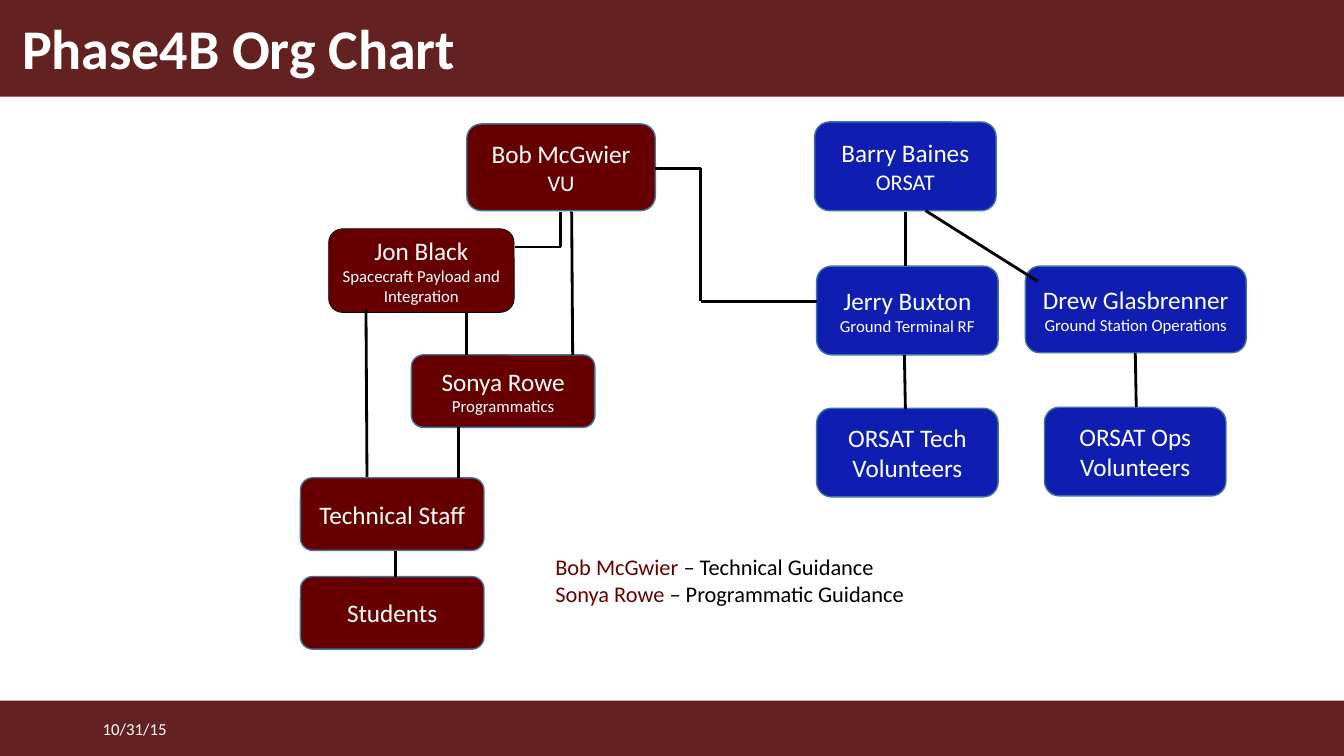
from dataclasses import dataclass
from itertools import pairwise

from lxml.etree import SubElement
from pptx import Presentation
from pptx.dml.color import RGBColor
from pptx.enum.shapes import MSO_CONNECTOR as Connector, MSO_SHAPE as Shape
from pptx.enum.text import MSO_ANCHOR as Anchor, PP_ALIGN as Align
from pptx.oxml.ns import qn
from pptx.util import Inches, Pt


@dataclass(frozen=True)
class Theme:
    font: str = "Calibri"
    band: str = "632121"
    maroon: str = "660000"
    blue: str = "0F1EB1"
    outline: str = "43739E"
    black: str = "000000"
    white: str = "FFFFFF"
    title_size: int = 40
    name_size: int = 18
    body_size: int = 16
    small_size: int = 12


def add_run(paragraph, text, *, font, size, color, bold=False):
    run = paragraph.add_run()
    run.text = text
    run.font.name = font
    run.font.size = Pt(size)
    run.font.bold = bold
    run.font.color.rgb = RGBColor.from_string(color)


class OrgChartSlide:
    def __init__(self, presentation, theme):
        self.theme = theme
        self.slide = presentation.slides.add_slide(presentation.slide_layouts[6])

    def fill_text(self, shape, lines, *, anchor=Anchor.MIDDLE, align=Align.LEFT, spacing=None):
        frame = shape.text_frame
        frame.word_wrap = True
        frame.vertical_anchor = anchor
        for index, runs in enumerate(lines):
            paragraph = frame.add_paragraph() if index else frame.paragraphs[0]
            paragraph.alignment = align
            paragraph.line_spacing = spacing
            for text, size, color, bold in runs:
                add_run(paragraph, text, font=self.theme.font, size=size, color=color, bold=bold)

    def block(self, kind, bounds, fill):
        shape = self.slide.shapes.add_shape(kind, *map(Inches, bounds))
        shape.shadow.inherit = False
        shape.fill.solid()
        shape.fill.fore_color.rgb = RGBColor.from_string(fill)
        return shape

    def band(self, top, height):
        self.block(Shape.RECTANGLE, (0, top, 13.33, height), self.theme.band).line.fill.background()

    def text(self, bounds, lines, **layout):
        self.fill_text(self.slide.shapes.add_textbox(*map(Inches, bounds)), lines, **layout)

    def box(self, bounds, fill, name, role="", role_size=None, outline=None, outline_width=1):
        theme = self.theme
        shape = self.block(Shape.ROUNDED_RECTANGLE, bounds, fill)
        shape.line.color.rgb = RGBColor.from_string(outline or theme.outline)
        shape.line.width = Pt(outline_width)
        lines = [[(name, theme.name_size, theme.white, False)]]
        if role:
            lines.append([(role, role_size or theme.small_size, theme.white, False)])
        self.fill_text(shape, lines, align=Align.CENTER)

    def route(self, *points):
        for start, end in pairwise(points):
            connector = self.slide.shapes.add_connector(
                Connector.STRAIGHT, *map(Inches, (*start, *end)))
            connector.line.color.rgb = RGBColor.from_string(self.theme.black)
            connector.line.width = Pt(2)
            SubElement(connector._element.spPr, qn("a:effectLst"))


def main():
    presentation = Presentation()
    presentation.slide_width = Inches(13.33)
    presentation.slide_height = Inches(7.5)
    theme = Theme()
    chart = OrgChartSlide(presentation, theme)

    chart.band(6.95, 0.55)
    chart.band(0, 0.96)
    chart.text((0.12, 0.13, 10.88, 0.75),
               [[("Phase4B Org Chart", theme.title_size, theme.white, True)]], spacing=0.9)
    chart.text((0.92, 7.03, 3, 0.4), [[("10/31/15", theme.small_size, theme.white, False)]])

    maroon, blue = theme.maroon, theme.blue
    chart.box((4.63, 1.23, 1.87, 0.86), maroon, "Bob McGwier", "VU", theme.body_size)
    chart.box((3.26, 2.27, 1.84, 0.83), maroon, "Jon Black",
              "Spacecraft Payload and Integration", outline=theme.black, outline_width=0.5)
    chart.box((4.08, 3.52, 1.82, 0.72), maroon, "Sonya Rowe", "Programmatics")
    for top, name in ((4.74, "Technical Staff"), (5.72, "Students")):
        chart.box((2.98, top, 1.82, 0.72), maroon, name)

    chart.box((8.08, 1.21, 1.8, 0.88), blue, "Barry Baines", "ORSAT", theme.body_size)
    chart.box((8.1, 2.64, 1.8, 0.88), blue, "Jerry Buxton", "Ground Terminal RF")
    chart.box((10.17, 2.64, 2.19, 0.86), blue, "Drew Glasbrenner", "Ground Station Operations")
    chart.box((8.1, 4.05, 1.8, 0.88), blue, "ORSAT Tech Volunteers")
    chart.box((10.36, 4.04, 1.8, 0.88), blue, "ORSAT Ops Volunteers")

    for points in (
        ((5.56, 2.1), (5.56, 2.45), (5.11, 2.45)),
        ((5.67, 2.1), (5.68, 3.52)),
        ((3.63, 3.07), (3.64, 4.73)),
        ((4.63, 3.1), (4.63, 3.52)),
        ((4.55, 4.24), (4.55, 4.74)),
        ((3.92, 5.47), (3.92, 5.72)),
        ((6.5, 1.67), (6.95, 1.67), (6.95, 2.99), (8.1, 2.99)),
        ((8.98, 2.1), (8.98, 2.64)),
        ((8.97, 3.52), (8.98, 4.06)),
        ((9.18, 2.09), (10.29, 2.79)),
        ((11.26, 3.5), (11.27, 4.04)),
    ):
        chart.route(*points)

    guidance = (("Bob McGwier ", "– Technical Guidance"),
                ("Sonya Rowe ", "– Programmatic Guidance"))
    chart.text((5.41, 5.44, 5.74, 0.64),
               [[(person, theme.body_size, maroon, False),
                 (duty, theme.body_size, theme.black, False)] for person, duty in guidance],
               anchor=Anchor.TOP)

    presentation.save("out.pptx")


if __name__ == "__main__":
    main()
